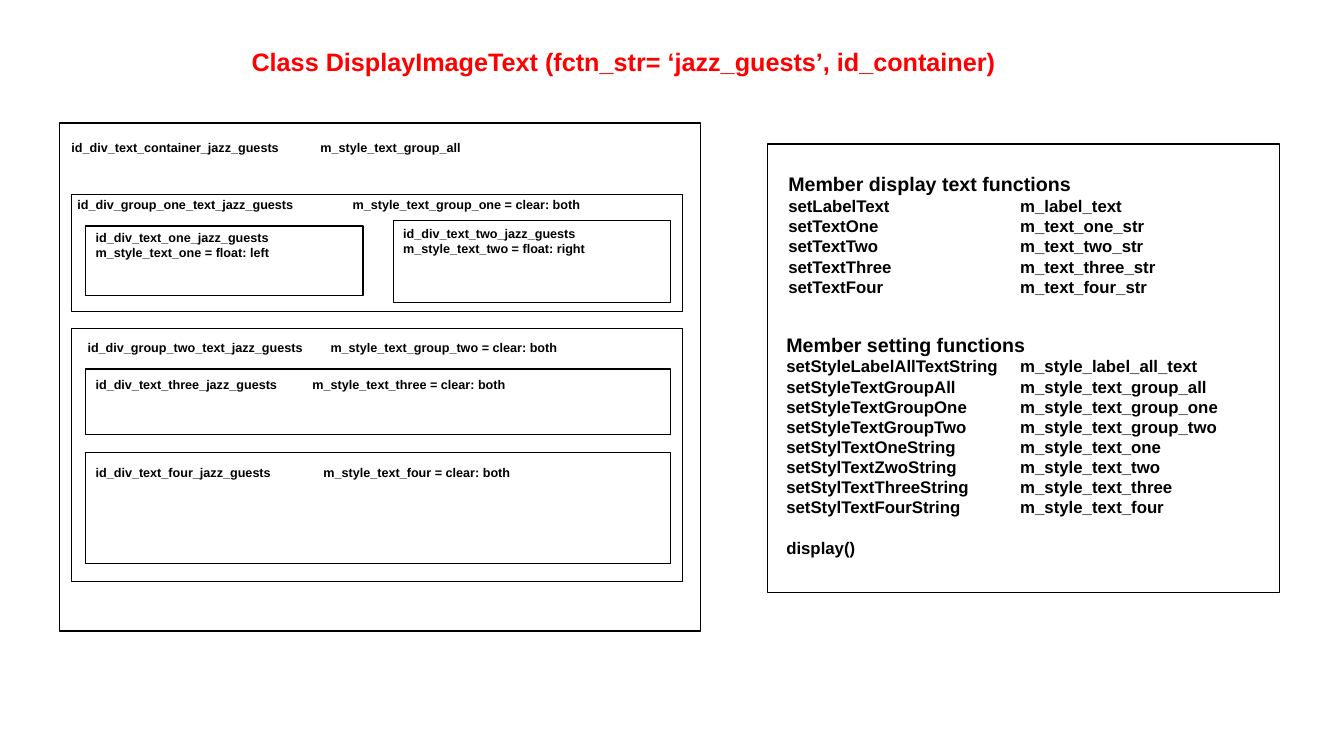
import pptx
import pptx.util
import pptx.dml.color
import pptx.enum.shapes
import pptx.enum.text
import pptx.oxml.ns
import lxml.etree
from pptx.util import Inches, Pt

# Content
TITLE = "Class DisplayImageText (fctn_str= ‘jazz_guests’, id_container)"

# Frames: left, top, width, height
PANEL = (7.61, 1.43, 5.08, 4.45)
FRAMES = [
    (0.59, 1.22, 6.36, 5.04),  # container
    (0.71, 1.93, 6.06, 1.16),  # group one
    (0.85, 2.24, 2.75, 0.69),  # text one
    (3.9, 2.19, 2.75, 0.81),   # text two
    (0.71, 3.26, 6.06, 2.51),  # group two
    (0.85, 3.66, 5.8, 0.65),   # text three
    (0.85, 4.49, 5.8, 1.1),    # text four
    PANEL,
]

# Frame labels: left, top, width, x of the second column, lines
LABELS = [
    (0.61, 1.34, 4.78, 3.18, ["id_div_text_container_jazz_guests\tm_style_text_group_all"]),
    (0.67, 1.9, 5.68, 3.5, ["id_div_group_one_text_jazz_guests\tm_style_text_group_one = clear: both"]),
    (0.85, 2.23, 2.32, None, ["id_div_text_one_jazz_guests", "m_style_text_one = float: left"]),
    (3.9, 2.19, 2.32, None, ["id_div_text_two_jazz_guests", "m_style_text_two = float: right"]),
    (0.77, 3.32, 5, 3.28, ["id_div_group_two_text_jazz_guests\tm_style_text_group_two = clear: both"]),
    (0.85, 3.69, 4.54, 3.1, ["id_div_text_three_jazz_guests\tm_style_text_three = clear: both"]),
    (0.85, 4.56, 5.58, 3.21, ["id_div_text_four_jazz_guests\tm_style_text_four = clear: both"]),
]

DISPLAY_FUNCTIONS = [
    "Member display text functions",
    "setLabelText\tm_label_text",
    "setTextOne\tm_text_one_str",
    "setTextTwo\tm_text_two_str",
    "setTextThree\tm_text_three_str",
    "setTextFour\tm_text_four_str",
]
SETTING_FUNCTIONS = [
    "Member setting functions",
    "setStyleLabelAllTextString\tm_style_label_all_text",
    "setStyleTextGroupAll\tm_style_text_group_all",
    "setStyleTextGroupOne\tm_style_text_group_one",
    "setStyleTextGroupTwo\tm_style_text_group_two",
    "setStylTextOneString\tm_style_text_one",
    "setStylTextZwoString\tm_style_text_two",
    "setStylTextThreeString\tm_style_text_three",
    "setStylTextFourString\tm_style_text_four",
    "display()",
]
MEMBER_COLUMN = 10.12
INSET = 0.1


class Theme:
    font = "Arial"
    ink = pptx.dml.color.RGBColor(0, 0, 0)
    title_ink = pptx.dml.color.RGBColor(255, 0, 0)
    title = Pt(18)
    heading = Pt(14)
    body = Pt(12)
    label = Pt(9)
    line = Pt(1)
    gap = Pt(14.4)


def style(para, size, color=Theme.ink):
    for span in para.runs:
        span.font.name = Theme.font
        span.font.size = size
        span.font.bold = True
        span.font.color.rgb = color


def add_tab(para, position):
    tag = pptx.oxml.ns.qn
    properties = para._p.get_or_add_pPr()
    stops = lxml.etree.SubElement(properties, tag("a:tabLst"))
    lxml.etree.SubElement(stops, tag("a:tab"), pos=str(Inches(position)), algn="l")


def add_frame(page, left, top, width, height):
    box = page.shapes.add_shape(
        pptx.enum.shapes.MSO_SHAPE.RECTANGLE,
        Inches(left), Inches(top), Inches(width), Inches(height))
    box.shadow.inherit = False
    box.fill.background()
    box.line.color.rgb = Theme.ink
    box.line.width = Theme.line


def add_lines(page, left, top, width, height, column, lines, sizes):
    box = page.shapes.add_textbox(
        Inches(left), Inches(top), Inches(width), Inches(height))
    box.text_frame.word_wrap = True
    box.text_frame.text = "\n".join(lines)
    for para, size in zip(box.text_frame.paragraphs, sizes):
        if "\t" in para.text:
            add_tab(para, column - left - INSET)
        style(para, size)
    return box


def add_members(page, left, top, width, height, lines):
    sizes = [Theme.heading] + [Theme.body] * (len(lines) - 1)
    return add_lines(page, left, top, width, height, MEMBER_COLUMN, lines, sizes)


def main():
    deck = pptx.Presentation()
    deck.slide_width, deck.slide_height = Inches(13.33), Inches(7.5)
    page = deck.slides.add_slide(deck.slide_layouts[5])

    # Title
    title = page.shapes.title
    title.left, title.top = Inches(2.07), Inches(0.41)
    title.width, title.height = Inches(8.23), Inches(0.4)
    title.text_frame.text = TITLE
    title.text_frame.auto_size = pptx.enum.text.MSO_AUTO_SIZE.NONE
    title.text_frame.vertical_anchor = pptx.enum.text.MSO_ANCHOR.TOP
    heading = title.text_frame.paragraphs[0]
    heading.alignment = pptx.enum.text.PP_ALIGN.CENTER
    style(heading, Theme.title, Theme.title_ink)

    # Nested frames and the function panel
    for frame in FRAMES:
        add_frame(page, *frame)

    # Frame labels
    for left, top, width, column, lines in LABELS:
        height = 0.1 + 0.15 * len(lines)
        add_lines(page, left, top, width, height, column, lines,
                  [Theme.label] * len(lines))

    # Function lists
    add_members(page, 7.72, 1.66, 4.46, 1.35, DISPLAY_FUNCTIONS)
    settings = add_members(page, 7.7, 3.25, 5.08, 2.56, SETTING_FUNCTIONS)
    settings.text_frame.paragraphs[-1].space_before = Theme.gap

    deck.save("out.pptx")


if __name__ == "__main__":
    main()
